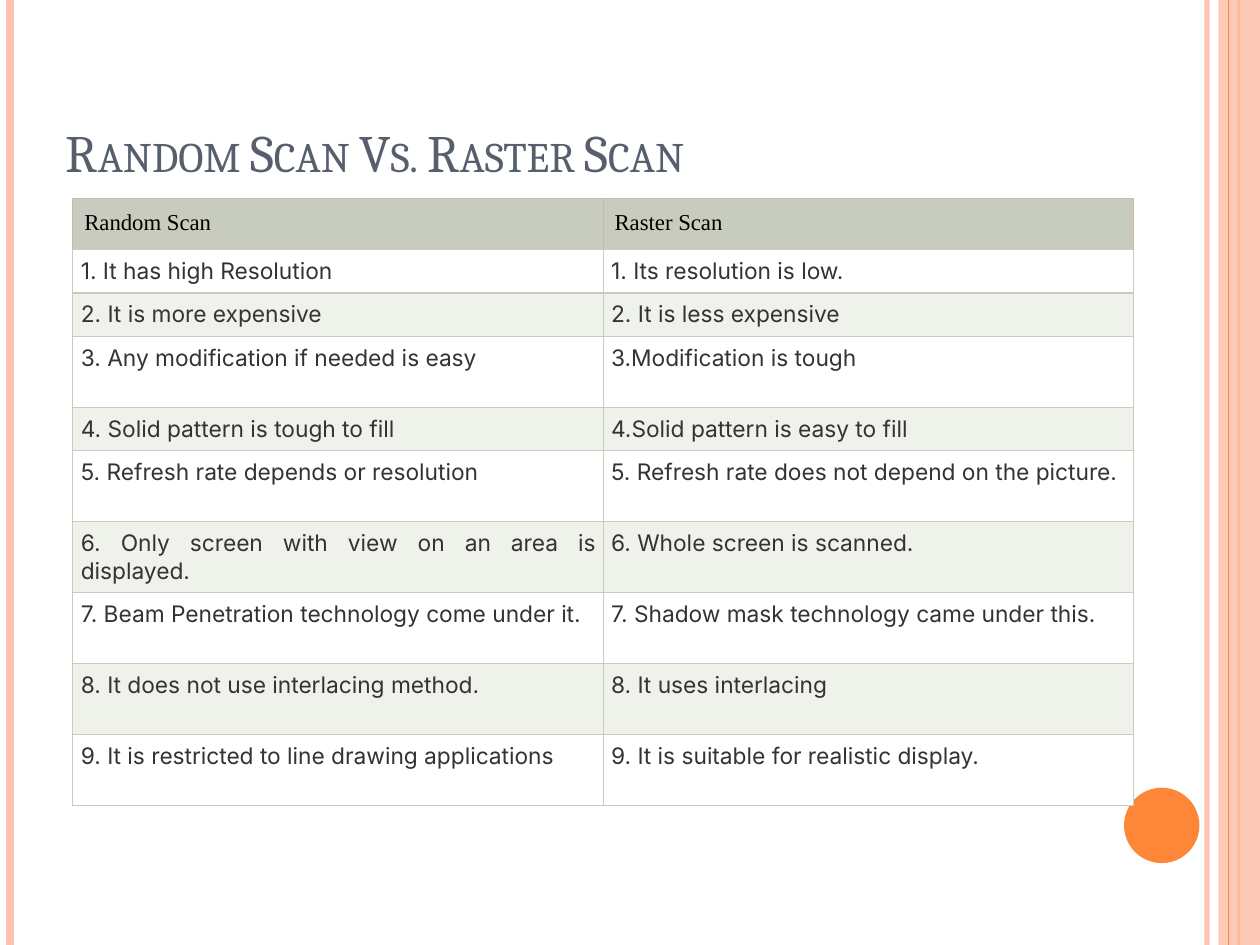
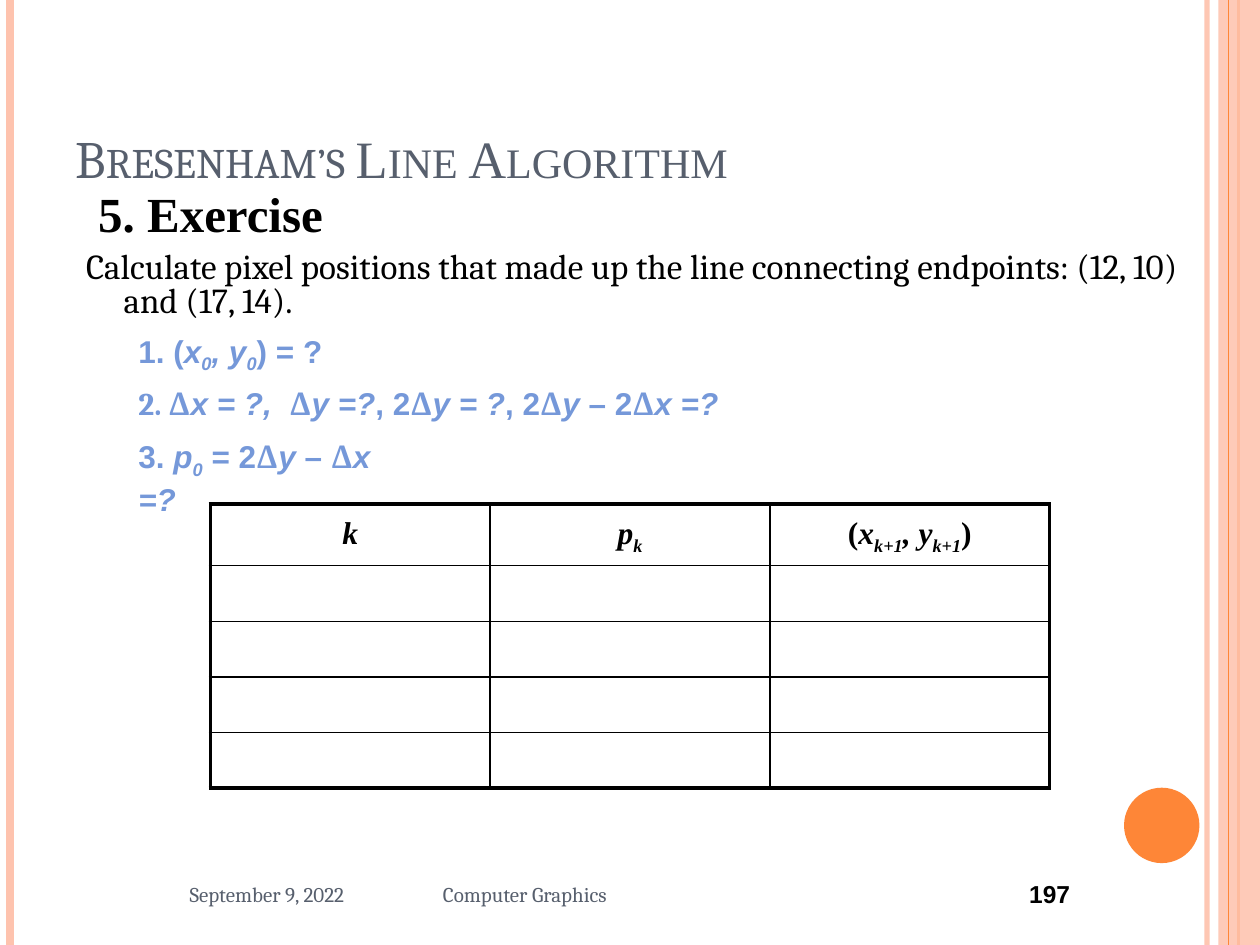
"""Build two computer graphics slides: a scan comparison and a line drawing exercise."""
import lxml.etree
import pptx
import pptx.dml.color
import pptx.enum.shapes
import pptx.enum.text
import pptx.oxml.ns
import pptx.util

Cm = pptx.util.Cm
Pt = pptx.util.Pt
ALIGN = pptx.enum.text.PP_ALIGN
ANCHOR = pptx.enum.text.MSO_ANCHOR
qn = pptx.oxml.ns.qn

PEACH, ORANGE, SLATE, BLUE = "FEC3AE", "FE8637", "575F6D", "7598D9"
BLACK, WHITE, GREY = "000000", "FFFFFF", "333333"
SAGE, PALE_SAGE, ROSE = "C7CCBE", "EFF1EB", "D0B3B2"
SERIF, SANS, TIMES, INTER = "Cambria", "Arial", "Times New Roman", "Inter"

SCANS = [
    ("1. It has high Resolution", "1. Its resolution is low."),
    ("2. It is more expensive", "2. It is less expensive"),
    ("3. Any modification if needed is easy", "3.Modification is tough"),
    ("4. Solid pattern is tough to fill", "4.Solid pattern is easy to fill"),
    ("5. Refresh rate depends or resolution",
     "5. Refresh rate does not depend on the picture."),
    ("6. Only screen with view on an area is displayed.",
     "6. Whole screen is scanned."),
    ("7. Beam Penetration technology come under it.",
     "7. Shadow mask technology came under this."),
    ("8. It does not use interlacing method.", "8. It uses interlacing"),
    ("9. It is restricted to line drawing applications",
     "9. It is suitable for realistic display."),
]
SCAN_ROWS = [1.02, 0.87, 0.87, 1.43, 0.87] + [1.43] * 5

DELTA = ("Δ", "", SERIF)
START = [("1. (",), ("x", "i"), ("0", "is"), (", y", "i"), ("0", "is"), (") = ?",)]
DELTAS = [("2. Δ", "", SERIF), ("x = ?,  ", "i"), DELTA, ("y =?", "i"), (", 2",),
          DELTA, ("y = ?", "i"), (", 2",), DELTA, ("y", "i"), (" – 2",),
          DELTA, ("x =?", "i")]
DECISION = [("3. ",), ("p", "i"), ("0", "is"), (" = 2",), DELTA, ("y", "i"),
            (" – ",), DELTA, ("x =?", "i")]
STEP_HEADS = [
    [("k", "i")],
    [("p", "i"), ("k", "is")],
    [("(",), ("x", "i"), ("k+1", "is"), (", y", "i"), ("k+1", "is"), (")",)],
]


def rgb(code):
    return pptx.dml.color.RGBColor.from_string(code)


def place(sp, left, top, width, height):
    sp.left, sp.top, sp.width, sp.height = map(Cm, (left, top, width, height))


def set_alpha(sp, percent):
    for clr in sp.element.spPr.iter(qn("a:srgbClr")):
        alpha = lxml.etree.SubElement(clr, qn("a:alpha"))
        alpha.set("val", str(percent * 1000))


def add_runs(p, runs, size, color, font, bold=False):
    """Add (text, flags, font) runs; flags are i italic, s subscript, c small caps."""
    for text, flags, name in [(*run, "", None)[:3] if len(run) == 1
                              else (*run, None)[:3] for run in runs]:
        r = p.add_run()
        r.text = text
        f = r.font
        f.name, f.size, f.bold = name or font, Pt(size), bold
        f.italic = "i" in flags
        f.color.rgb = rgb(color)
        rPr = r._r.get_or_add_rPr()
        if "s" in flags:
            rPr.set("baseline", "-25000")
        if "c" in flags:
            rPr.set("cap", "small")


def set_indent(p, left, first):
    pPr = p._p.get_or_add_pPr()
    pPr.set("marL", str(Cm(left)))
    pPr.set("indent", str(Cm(first)))
    return pPr


def add_text(s, box, runs, size, color, font, bold=False, align=ALIGN.LEFT,
             anchor=ANCHOR.TOP):
    tf = s.shapes.add_textbox(*map(Cm, box)).text_frame
    tf.word_wrap = True
    tf.vertical_anchor = anchor
    p = tf.paragraphs[0]
    p.alignment = align
    add_runs(p, runs, size, color, font, bold)
    return p


def set_title(s, box, runs):
    sp = s.shapes.title
    place(sp, *box)
    tf = sp.text_frame
    tf.auto_size = pptx.enum.text.MSO_AUTO_SIZE.NONE
    tf.vertical_anchor = ANCHOR.BOTTOM
    p = tf.paragraphs[0]
    p.alignment = ALIGN.LEFT
    add_runs(p, runs, 30, SLATE, SERIF)


def set_body(s, box, lines):
    sp = s.placeholders[1]
    place(sp, *box)
    tf = sp.text_frame
    tf.auto_size = pptx.enum.text.MSO_AUTO_SIZE.NONE
    for i, (text, size, font, bold) in enumerate(lines):
        p = tf.add_paragraph() if i else tf.paragraphs[0]
        lxml.etree.SubElement(set_indent(p, 0.76, -0.76), qn("a:buNone"))
        p.line_spacing = 0.8
        p.space_before = Pt(6 if i else 0)
        add_runs(p, [(text,)], size, BLACK, font, bold)


def add_rule(s, x, color, width):
    line = s.shapes.add_connector(pptx.enum.shapes.MSO_CONNECTOR.STRAIGHT,
                                  Cm(x), 0, Cm(x), Cm(19.05))
    line.line.color.rgb = rgb(color)
    line.line.width = Pt(width)
    lxml.etree.SubElement(line.element.spPr, qn("a:effectLst"))
    return line


def add_solid(s, shape, box, color):
    sp = s.shapes.add_shape(shape, *map(Cm, box))
    sp.shadow.inherit = False
    sp.fill.solid()
    sp.fill.fore_color.rgb = rgb(color)
    sp.line.fill.background()
    return sp


def decorate_master(prs, s):
    """Draw the side bands and the disc, then move them to the slide master."""
    shape = pptx.enum.shapes.MSO_SHAPE
    right_rule = add_rule(s, 24.33, PEACH, 3)
    set_alpha(right_rule, 93)
    left_rule = add_rule(s, 0.2, PEACH, 4.5)
    band_rule = add_rule(s, 24.97, ORANGE, 1.5)
    band = add_solid(s, shape.RECTANGLE, (24.56, 0, 0.84, 19.05), PEACH)
    set_alpha(band, 87)
    thin_rule = add_rule(s, 24.77, ORANGE, 0.75)
    disc = add_solid(s, shape.OVAL, (22.66, 15.88, 1.52, 1.52), ORANGE)
    tree = prs.slide_master.shapes.element
    for i, sp in enumerate((right_rule, left_rule, band_rule, band, thin_rule, disc)):
        next(sp.element.iter(qn("p:cNvPr"))).set("id", str(100 + i))
        tree.append(sp.element)


def add_grid(s, left, top, col_width, cols, heights):
    frame = s.shapes.add_table(len(heights), cols, Cm(left), Cm(top),
                               Cm(col_width * cols), Cm(sum(heights)))
    table = frame.table
    table.first_row = table.horz_banding = False
    for col in table.columns:
        col.width = Cm(col_width)
    for row, height in zip(table.rows, heights):
        row.height = Cm(height)
    return table


def set_borders(cell, **edges):
    """Give the cell its L, R, T and B borders as (colour, points)."""
    tcPr = cell._tc.get_or_add_tcPr()
    for side in "LRTB":
        color, width = edges[side]
        ln = lxml.etree.SubElement(tcPr, qn("a:ln" + side), w=str(Pt(width)))
        fill = lxml.etree.SubElement(ln, qn("a:solidFill"))
        lxml.etree.SubElement(fill, qn("a:srgbClr"), val=color)


def set_margins(cell, size):
    cell.margin_left = cell.margin_right = Cm(size)
    cell.margin_top = cell.margin_bottom = Cm(size)


def add_scan_table(s):
    table = add_grid(s, 1.47, 4.01, 10.69, 2, SCAN_ROWS)
    for i, texts in enumerate([("Random Scan", "Raster Scan")] + SCANS):
        for j, text in enumerate(texts):
            cell = table.cell(i, j)
            edge = (SAGE if i else ROSE, 0.75)
            set_borders(cell, L=edge, R=edge, T=edge if i != 1 else (SAGE, 0.75),
                        B=(SAGE, 0.75))
            cell.fill.solid()
            fill = (WHITE if i % 2 else PALE_SAGE) if i else SAGE
            cell.fill.fore_color.rgb = rgb(fill)
            set_margins(cell, 0.16 if i else 0.23)
            p = cell.text_frame.paragraphs[0]
            p.alignment = ALIGN.JUSTIFY if i else ALIGN.LEFT
            add_runs(p, [(text,)], 13, GREY if i else BLACK, INTER if i else TIMES)


def add_step_table(s):
    heights = [1.14] + [1.12] * 4
    table = add_grid(s, 4.24, 10.16, 5.64, 3, heights)
    thin, thick = (BLACK, 1), (BLACK, 2.25)
    for i in range(len(heights)):
        for j, runs in enumerate(STEP_HEADS):
            cell = table.cell(i, j)
            set_borders(cell, L=thin if j else thick, R=thick if j == 2 else thin,
                        T=thin if i else thick, B=thick if i == 4 else thin)
            cell.fill.background()
            if i == 0:
                cell.margin_top = Cm(0.25)
                p = cell.text_frame.paragraphs[0]
                p.alignment = ALIGN.CENTER
                add_runs(p, runs, 18, BLACK, TIMES, True)


def add_footer(s, date, topic, number):
    top, height, middle = 17.36, 1.32, ANCHOR.MIDDLE
    add_text(s, (1.27, top, 5.92, height), [(date,)], 12, SLATE, SERIF,
             align=ALIGN.RIGHT, anchor=middle)
    add_text(s, (8.68, top, 8.05, height), [(topic,)], 12, SLATE, SERIF,
             anchor=middle)
    add_text(s, (18.2, top, 5.92, height), [(number,)], 14, BLACK, SANS, True,
             ALIGN.CENTER, middle)


def add_scan_slide(prs):
    s = prs.slides.add_slide(prs.slide_layouts[5])
    set_title(s, (1.07, 0.64, 22.86, 3.18), [("Random Scan Vs. Raster Scan", "c")])
    add_scan_table(s)
    return s


def add_exercise_slide(prs):
    s = prs.slides.add_slide(prs.slide_layouts[1])
    set_title(s, (1.27, 0.76, 20.75, 3.18),
              [("Bresenham’s", "c"), (" Line Algorithm", "c", TIMES)])
    set_body(s, (1.48, 3.81, 22.86, 2.97), [
        (" 5. Exercise", 28, TIMES, True),
        ("Calculate pixel positions that made up the line connecting endpoints: "
         "(12, 10) and (17, 14).", 20, SERIF, False)])
    style = (18, BLUE, SANS, True)
    p = add_text(s, (2.54, 7.62, 14.76, 1.7), DELTAS, *style)
    set_indent(p, 0.95, -0.95)
    add_text(s, (2.54, 6.56, 4.27, 1.02), START, *style)
    add_text(s, (2.54, 8.68, 6.05, 1.78), DECISION, *style)
    add_step_table(s)
    add_footer(s, "September 9, 2022", "Computer Graphics", "197")


def main():
    prs = pptx.Presentation()
    prs.slide_width, prs.slide_height = Cm(25.4), Cm(19.05)
    s = add_scan_slide(prs)
    decorate_master(prs, s)
    add_exercise_slide(prs)
    prs.save("out.pptx")


if __name__ == "__main__":
    main()
